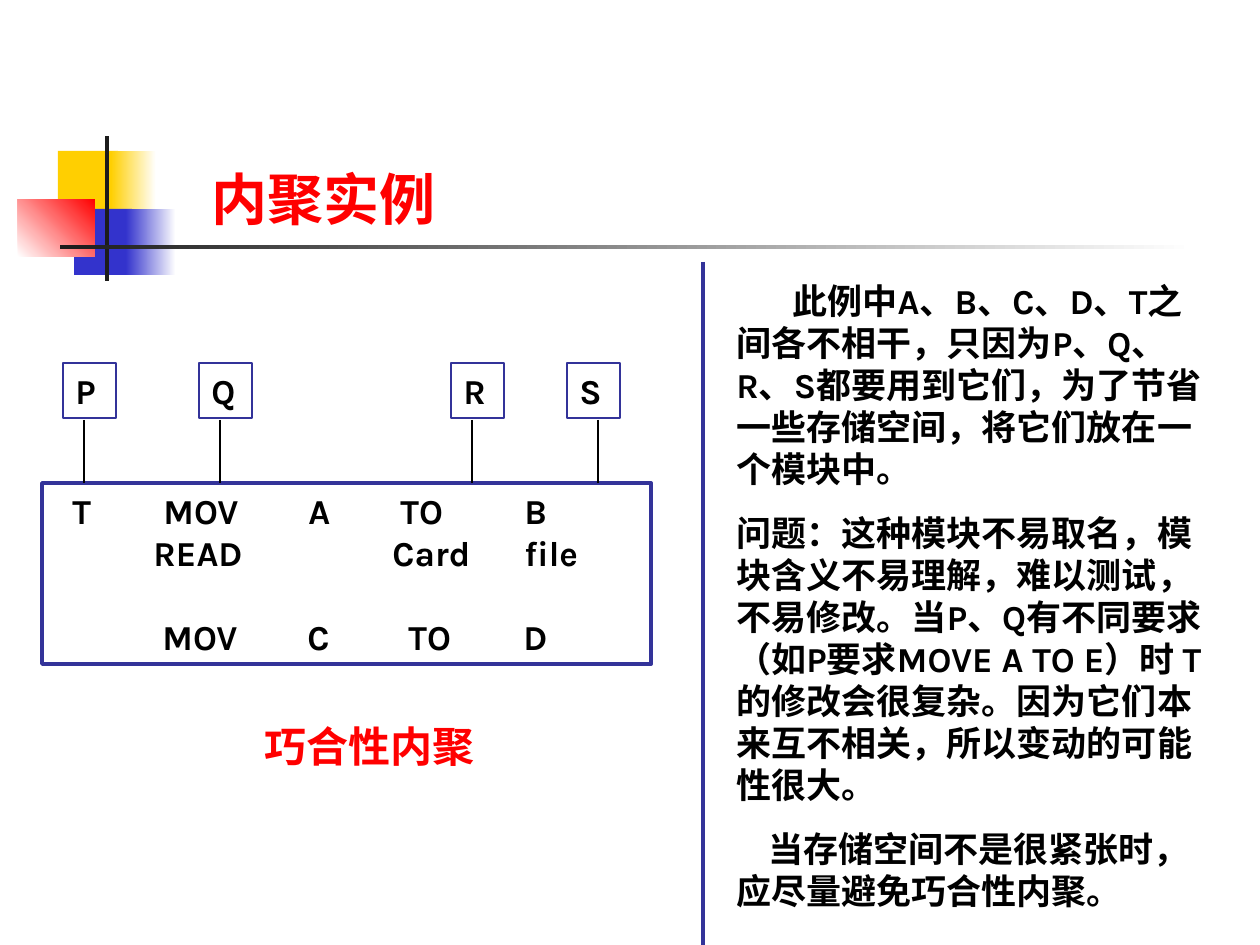
"""Build the slide on coincidental cohesion."""
import dataclasses
import typing

import lxml.etree
import pptx
import pptx.dml.color
import pptx.enum.shapes
import pptx.enum.text
import pptx.oxml.ns
import pptx.shapes.base
import pptx.slide
import pptx.util

PX = 914400 / 126
RECT = pptx.enum.shapes.MSO_SHAPE.RECTANGLE
LINE = pptx.enum.shapes.MSO_CONNECTOR.STRAIGHT


@dataclasses.dataclass(frozen=True)
class Theme:
    font: str = "Karla"
    white: str = "FFFFFF"
    black: str = "000000"
    red: str = "FF0000"
    gold: str = "FFCF01"
    blue: str = "3333CC"
    navy: str = "333399"
    dark: str = "1C1C1C"
    title: int = 32
    label: int = 24
    body: int = 20
    gap: float = 12.5
    thin: float = 0.75
    thick: float = 2.25


class Box(typing.NamedTuple):
    x: int
    y: int
    w: int
    h: int


class Tile(typing.NamedTuple):
    box: Box
    tint: str
    end: str = ""
    turn: int = 0


class Para(typing.NamedTuple):
    text: str
    indent: int = 0
    gap: float = 0
    tabs: tuple[int, ...] = ()


class Link(typing.NamedTuple):
    name: str
    left: int
    stem: int


THEME = Theme()
TILES = (
    Tile(Box(58, 151, 60, 66), THEME.gold),
    Tile(Box(111, 151, 45, 66), THEME.gold, THEME.white),
    Tile(Box(74, 209, 58, 66), THEME.blue),
    Tile(Box(126, 209, 50, 66), THEME.blue, THEME.white),
    Tile(Box(18, 199, 77, 58), THEME.white, THEME.red, 45),
    Tile(Box(105, 136, 4, 145), THEME.dark),
    Tile(Box(60, 245, 1134, 4), THEME.dark, THEME.white),
)
LINKS = (
    Link("P", 63, 84),
    Link("Q", 199, 220),
    Link("R", 451, 472),
    Link("S", 567, 598),
)
CODE = (
    Para("\tT\tMOV\tA\tTO\tB", tabs=(18, 109, 254, 346, 470)),
    Para("\tREAD\tCard\tfile", tabs=(99, 338, 470)),
    Para("\tMOV\tC\tTO\tD", gap=24, tabs=(108, 253, 354, 469)),
)
NOTES = (
    Para("此例中A、B、C、D、T之间各不相干，只因为P、Q、R、S都要用到它们，"
         "为了节省一些存储空间，将它们放在一个模块中。", 56),
    Para("问题：这种模块不易取名，模块含义不易理解，难以测试，不易修改。"
         "当P、Q有不同要求（如P要求MOVE A TO E）时 T的修改会很复杂。"
         "因为它们本来互不相关，所以变动的可能性很大。", gap=THEME.gap),
    Para("当存储空间不是很紧张时，应尽量避免巧合性内聚。", 32, THEME.gap),
)


def emu(px: int) -> pptx.util.Emu:
    """Turn px into EMU."""
    return pptx.util.Emu(round(px * PX))


def rgb(tint: str) -> pptx.dml.color.RGBColor:
    """Turn a hex string into a colour."""
    return pptx.dml.color.RGBColor.from_string(tint)


def write(shape: pptx.shapes.base.BaseShape, paras: typing.Sequence[Para],
          size: int, tint: str = THEME.black) -> None:
    """Fill a shape with bold, left-aligned paragraphs."""
    frame = shape.text_frame
    frame.word_wrap = True
    frame.auto_size = pptx.enum.text.MSO_AUTO_SIZE.SHAPE_TO_FIT_TEXT
    frame.vertical_anchor = pptx.enum.text.MSO_ANCHOR.TOP
    for i, item in enumerate(paras):
        par = frame.paragraphs[0] if i == 0 else frame.add_paragraph()
        par.add_run().text = item.text
        par.alignment = pptx.enum.text.PP_ALIGN.LEFT
        props = par._p.get_or_add_pPr()
        if item.indent:
            props.set("marL", "0")
            props.set("indent", str(emu(item.indent)))
        if item.tabs:
            stops = lxml.etree.SubElement(props, pptx.oxml.ns.qn("a:tabLst"))
            for x in item.tabs:
                lxml.etree.SubElement(stops, pptx.oxml.ns.qn("a:tab"),
                                      pos=str(emu(x)), algn="l")
        if item.gap:
            par.space_before = pptx.util.Pt(item.gap)
        font = par.font
        font.name, font.size, font.bold = THEME.font, pptx.util.Pt(size), True
        font.color.rgb = rgb(tint)


def label(slide: pptx.slide.Slide, box: Box, paras: typing.Sequence[Para],
          size: int, tint: str = THEME.black) -> None:
    """Draw a plain text box."""
    write(slide.shapes.add_textbox(*map(emu, box)), paras, size, tint)


def frame(slide: pptx.slide.Slide, box: Box, paras: typing.Sequence[Para],
          width: float) -> None:
    """Draw an outlined box with text."""
    shape = slide.shapes.add_shape(RECT, *map(emu, box))
    shape.shadow.inherit = False
    shape.fill.background()
    shape.line.color.rgb = rgb(THEME.navy)
    shape.line.width = pptx.util.Pt(width)
    write(shape, paras, THEME.body)


def paint(slide: pptx.slide.Slide, tile: Tile) -> None:
    """Draw a solid or fading tile."""
    shape = slide.shapes.add_shape(RECT, *map(emu, tile.box))
    shape.shadow.inherit = False
    shape.line.fill.background()
    if not tile.end:
        shape.fill.solid()
        shape.fill.fore_color.rgb = rgb(tile.tint)
        return
    shape.fill.gradient()
    shape.fill.gradient_angle = tile.turn
    for stop, tint in zip(shape.fill.gradient_stops, (tile.tint, tile.end)):
        stop.color.rgb = rgb(tint)


def rule(slide: pptx.slide.Slide, x: int, top: int, end: int,
         tint: str, width: float) -> None:
    """Draw an upright line."""
    line = slide.shapes.add_connector(LINE, *map(emu, (x, top, x, end)))
    line.line.color.rgb = rgb(tint)
    line.line.width = pptx.util.Pt(width)
    lxml.etree.SubElement(line._element.spPr, pptx.oxml.ns.qn("a:effectLst"))


def main() -> None:
    """Build and save the slide."""
    deck = pptx.Presentation()
    deck.slide_width, deck.slide_height = emu(1260), emu(945)
    slide = deck.slides.add_slide(deck.slide_layouts[6])
    for tile in TILES:
        paint(slide, tile)
    label(slide, Box(199, 158, 945, 81), [Para("内聚实例")], THEME.title, THEME.red)
    frame(slide, Box(42, 483, 609, 181), CODE, THEME.thick)
    for link in LINKS:
        frame(slide, Box(link.left, 363, 53, 55), [Para(link.name)], THEME.thin)
        rule(slide, link.stem, 420, 483, THEME.black, THEME.thin)
    label(slide, Box(252, 714, 262, 63), [Para("巧合性内聚")], THEME.label, THEME.red)
    label(slide, Box(724, 273, 494, 645), NOTES, THEME.body)
    rule(slide, 703, 262, 945, THEME.navy, THEME.thick)
    deck.save("out.pptx")


if __name__ == "__main__":
    main()
